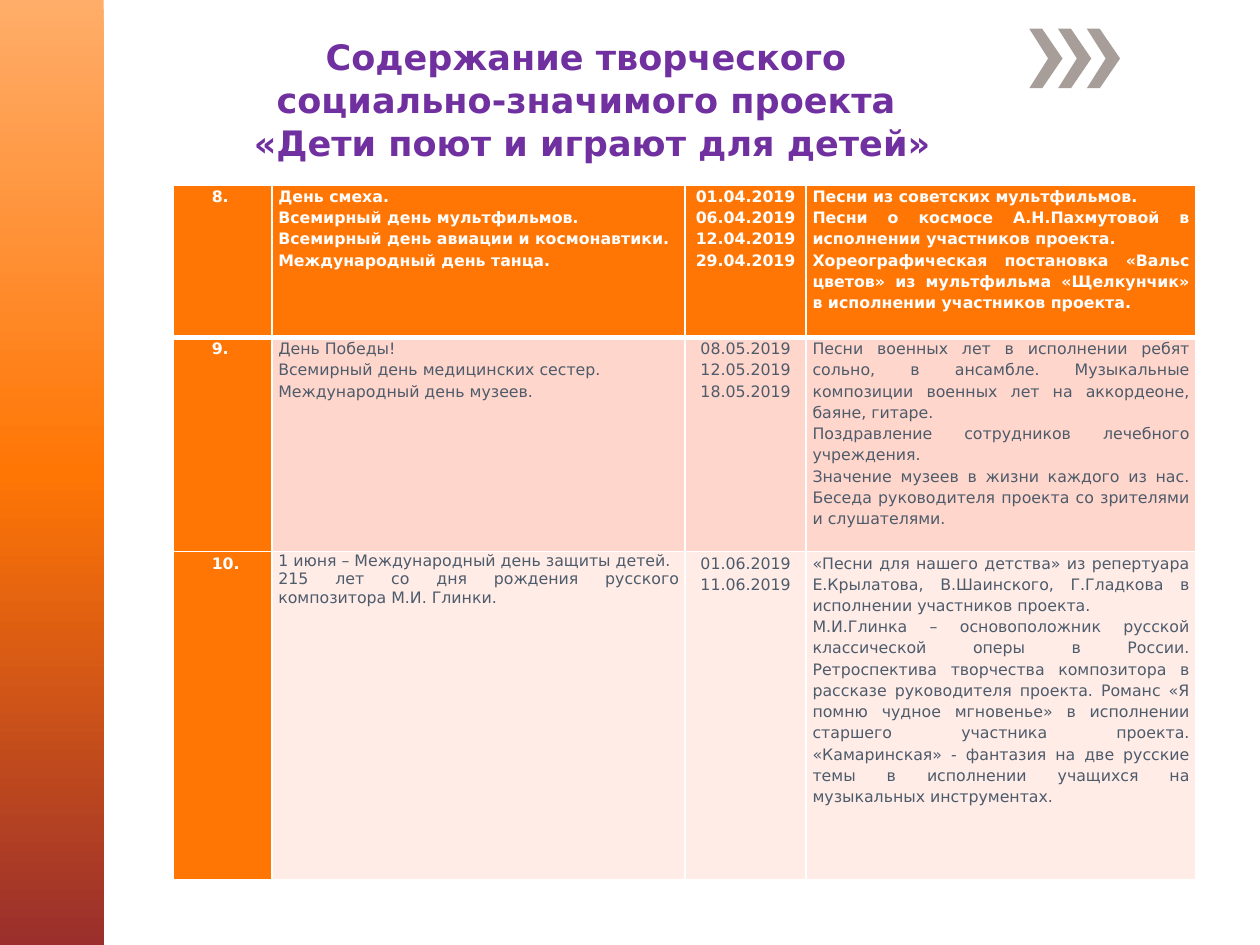
import copy

import pptx
import pptx.dml.color
import pptx.enum.shapes
import pptx.enum.text
import pptx.oxml
import pptx.oxml.ns
import pptx.util

Cm, Pt = pptx.util.Cm, pptx.util.Pt
RGBColor = pptx.dml.color.RGBColor
PP_ALIGN = pptx.enum.text.PP_ALIGN
qn = pptx.oxml.ns.qn

FONT = "DejaVu Sans"
WHITE = RGBColor(0xFF, 0xFF, 0xFF)
PURPLE = RGBColor(0x70, 0x30, 0xA0)
SLATE = RGBColor(0x4D, 0x5B, 0x6B)
TAUPE = RGBColor(0xA7, 0x9D, 0x99)
ORANGE = RGBColor(0xFF, 0x76, 0x05)
PEACH = RGBColor(0xFF, 0xAD, 0x69)
BRICK = RGBColor(0x9A, 0x2F, 0x2C)
PINK = RGBColor(0xFF, 0xD6, 0xCC)
PALE_PINK = RGBColor(0xFF, 0xEC, 0xE7)


def format_para(para, size, color, bold, align, spacing):
    para.alignment = align
    para.line_spacing = spacing
    para.space_before = para.space_after = Pt(0)
    for span in para.runs:
        span.font.name = FONT
        span.font.size = Pt(size)
        span.font.bold = bold
        span.font.color.rgb = color


def add_border(cell, side, width):
    line = pptx.oxml.parse_xml(
        f'<a:{side} {pptx.oxml.ns.nsdecls("a")} w="{Pt(width)}">'
        f'<a:solidFill><a:srgbClr val="{WHITE}"/></a:solidFill></a:{side}>')
    cell._tc.get_or_add_tcPr().append(line)


deck = pptx.Presentation()
deck.slide_width, deck.slide_height = Cm(25.4), Cm(19.05)
page = deck.slides.add_slide(deck.slide_layouts[5])

# Gradient side bar
bar = page.shapes.add_shape(pptx.enum.shapes.MSO_SHAPE.RECTANGLE,
                            0, 0, Cm(2.09), deck.slide_height)
bar.shadow.inherit = False
bar.line.fill.background()
bar.fill.gradient()
bar.fill.gradient_angle = 270
stop_list = bar._element.spPr.find(".//" + qn("a:gsLst"))
stop_list.insert(1, copy.deepcopy(stop_list[0]))
for stop, color, position in zip(bar.fill.gradient_stops,
                                 (PEACH, ORANGE, BRICK), (0, 0.5, 1)):
    stop.color.rgb = color
    stop.position = position

# Three chevrons
chevrons = page.shapes.add_group_shape()
outline = [(0.26, 0), (0, 0), (0.38, 0.6), (0, 1.2), (0.26, 1.2), (0.67, 0.6)]
for index in range(3):
    left = 20.75 + 0.58 * index
    points = [(Cm(left + x), Cm(0.58 + y)) for x, y in outline]
    builder = chevrons.shapes.build_freeform(*points[0])
    builder.add_line_segments(points[1:], close=True)
    chevron = builder.convert_to_shape()
    chevron.shadow.inherit = False
    chevron.fill.solid()
    chevron.fill.fore_color.rgb = TAUPE
    chevron.line.fill.background()

# Title
title = page.shapes.title
title.left, title.top = Cm(3.38), Cm(0.56)
title.width, title.height = Cm(17.12), Cm(2.64)
frame = title.text_frame
frame.text = ("Содержание творческого \n"
              "социально-значимого проекта \n"
              "«Дети поют и играют для детей»")
frame.word_wrap = True
frame.auto_size = pptx.enum.text.MSO_AUTO_SIZE.NONE
frame.vertical_anchor = pptx.enum.text.MSO_ANCHOR.TOP
for para in frame.paragraphs:
    format_para(para, 20, PURPLE, True, PP_ALIGN.CENTER, 1.03)

# Events: number, occasions, dates, programme
events = [
    ("8.",
     "День смеха. \n"
     "Всемирный день мультфильмов. \n"
     "Всемирный день авиации и космонавтики. \n"
     "Международный день танца. ",
     "01.04.2019\n06.04.2019\n12.04.2019\n29.04.2019",
     "Песни из советских мультфильмов.\n"
     "Песни о космосе А.Н.Пахмутовой в исполнении участников проекта.\n"
     "Хореографическая постановка «Вальс цветов» из мультфильма "
     "«Щелкунчик» в исполнении участников проекта."),
    ("9.",
     "День Победы! \n"
     "Всемирный день медицинских сестер.\n"
     "Международный день музеев.",
     "08.05.2019\n12.05.2019\n18.05.2019",
     "Песни военных лет в исполнении ребят сольно, в ансамбле. "
     "Музыкальные композиции военных лет на аккордеоне, баяне, гитаре. \n"
     "Поздравление сотрудников лечебного учреждения. \n"
     "Значение музеев в жизни каждого из нас. Беседа руководителя проекта "
     "со зрителями и слушателями. "),
    ("10.",
     "1 июня – Международный день защиты детей.\n"
     "215 лет со дня рождения русского композитора М.И. Глинки.",
     "01.06.2019\n11.06.2019",
     "«Песни для нашего детства» из репертуара Е.Крылатова, В.Шаинского, "
     "Г.Гладкова в исполнении участников проекта. \n"
     "М.И.Глинка – основоположник русской классической оперы в России. "
     "Ретроспектива творчества композитора в рассказе руководителя проекта. "
     "Романс «Я помню чудное мгновенье» в исполнении старшего участника "
     "проекта. «Камаринская» - фантазия на две русские темы в исполнении "
     "учащихся на музыкальных инструментах. "),
]
column_widths = [1.98, 8.33, 2.44, 7.85]
row_heights = [3.07, 4.32, 6.61]
row_fills = [ORANGE, PINK, PALE_PINK]
column_aligns = [PP_ALIGN.LEFT, PP_ALIGN.JUSTIFY,
                 PP_ALIGN.CENTER, PP_ALIGN.JUSTIFY]

# Table
table = page.shapes.add_table(3, 4, Cm(3.5), Cm(3.73),
                              Cm(sum(column_widths)),
                              Cm(sum(row_heights))).table
table.first_col = True
for column, width in zip(table.columns, column_widths):
    column.width = Cm(width)
for row, height in zip(table.rows, row_heights):
    row.height = Cm(height)

for r, event in enumerate(events):
    for c, text in enumerate(event):
        cell = table.cell(r, c)
        cell.margin_left = cell.margin_right = Cm(0.13)
        cell.margin_top = cell.margin_bottom = 0
        for side in ("lnL", "lnR", "lnT", "lnB"):
            under_header = (r, side) in ((0, "lnB"), (1, "lnT"))
            add_border(cell, side, 3 if under_header else 1)
        strong = r == 0 or c == 0
        cell.fill.solid()
        cell.fill.fore_color.rgb = ORANGE if strong else row_fills[r]
        cell.text_frame.text = text
        spacing = 1.0 if (r, c) == (2, 1) else 1.15
        for para in cell.text_frame.paragraphs:
            format_para(para, 9, WHITE if strong else SLATE, strong,
                        column_aligns[c], spacing)
            if c == 0:
                para._p.get_or_add_pPr().set("marL", str(Cm(0.64)))

deck.save("out.pptx")
